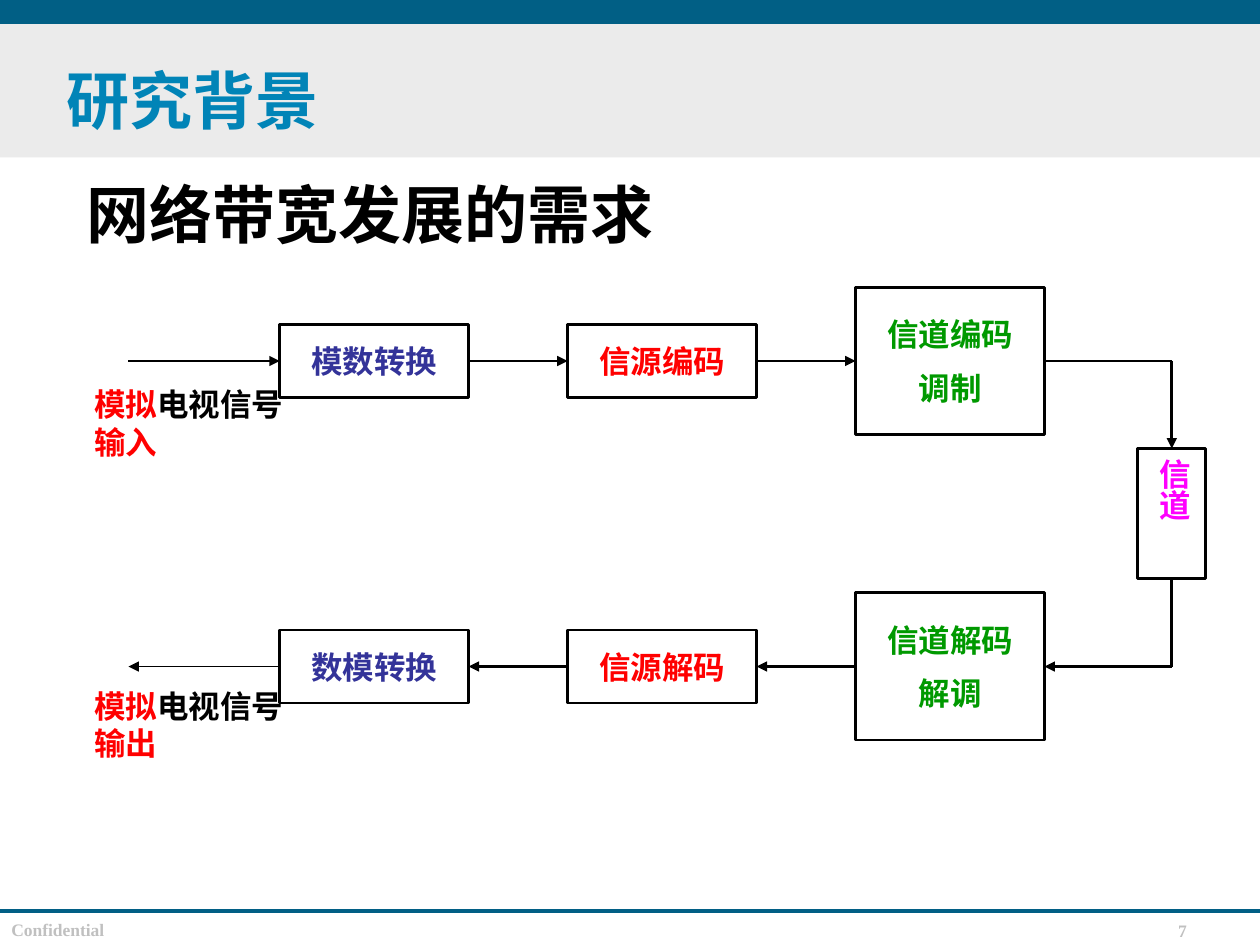
from dataclasses import dataclass
from typing import NamedTuple

from lxml import etree
from pptx import Presentation
from pptx.dml.color import RGBColor
from pptx.enum.shapes import MSO_CONNECTOR, MSO_SHAPE
from pptx.enum.text import MSO_ANCHOR, PP_ALIGN
from pptx.oxml.ns import qn
from pptx.util import Inches, Pt

RECT = MSO_SHAPE.RECTANGLE
LINE = MSO_CONNECTOR.STRAIGHT
LEFT, MID = PP_ALIGN.LEFT, PP_ALIGN.CENTER
TOP, CORE = MSO_ANCHOR.TOP, MSO_ANCHOR.MIDDLE
COLS, ROWS, CELL = 100, 75, Inches(0.1)
NORTH, WEST, SOUTH, EAST = range(4)


@dataclass(frozen=True)
class Theme:
    teal: str = "015F85"
    blue: str = "0184B7"
    pale: str = "EBEBEB"
    gray: str = "C0C0C0"
    black: str = "000000"
    red: str = "FF0000"
    green: str = "009900"
    navy: str = "333399"
    pink: str = "FF00FF"
    sans: str = "Arial"
    serif: str = "Times New Roman"
    cjk: str = "Noto Sans CJK SC"
    big: int = 36
    body: int = 18
    small: int = 10
    thin: float = 0.75
    thick: float = 1.5
    rule: float = 2


class Area(NamedTuple):
    col: float
    row: float
    wide: float
    high: float


class Point(NamedTuple):
    col: float
    row: float


class Joint(NamedTuple):
    shape: object
    side: int


class Run(NamedTuple):
    text: str
    color: str


class Stage(NamedTuple):
    lines: tuple
    color: str
    high: float


class Path(NamedTuple):
    start: object
    end: object
    arrow: bool = True
    width: float = 1.5


T = Theme()


def grid(*units: float) -> list:
    return [round(unit * CELL) for unit in units]


def tint(code: str) -> RGBColor:
    return RGBColor.from_string(code)


def write(shape, paras: list, size: int, font: str = T.sans, align=LEFT,
          anchor=TOP, pads: tuple = (0, 0, 0, 0), lead: float = 0,
          wrap: bool = True) -> None:
    frame = shape.text_frame
    frame.word_wrap, frame.vertical_anchor = wrap, anchor
    (frame.margin_left, frame.margin_top,
     frame.margin_right, frame.margin_bottom) = grid(*pads)
    for i, runs in enumerate(paras):
        para = frame.add_paragraph() if i else frame.paragraphs[0]
        para.alignment = align
        if i:
            para.space_before = Pt(size / 2)
        if lead:
            para.line_spacing = Pt(lead)
        for item in runs:
            run = para.add_run()
            run.text = item.text
            run.font.size, run.font.bold = Pt(size), True
            run.font.name = font
            run.font.color.rgb = tint(item.color)
            east = etree.SubElement(run.font._element, qn("a:ea"))
            east.set("typeface", T.cjk)


def label(slide, area: Area, runs: list, size: int, **style) -> None:
    write(slide.shapes.add_textbox(*grid(*area)), [runs], size, **style)


def band(slide, area: Area, color: str) -> None:
    shape = slide.shapes.add_shape(RECT, *grid(*area))
    shape.shadow.inherit = False
    shape.fill.solid()
    shape.fill.fore_color.rgb = tint(color)
    shape.line.fill.background()


def block(slide, area: Area, lines: tuple, color: str, left: float = 0.4):
    shape = slide.shapes.add_shape(RECT, *grid(*area))
    shape.shadow.inherit = False
    shape.fill.background()
    shape.line.color.rgb = tint(T.black)
    shape.line.width = Pt(T.thick)
    write(shape, [[Run(line, color)] for line in lines], T.body, align=MID,
          anchor=CORE, pads=(left, 0.8, 0.4, 0.8))
    return shape


def spot(end) -> list:
    return grid(*end) if isinstance(end, Point) else [0, 0]


def link(slide, path: Path, color: str = T.black) -> None:
    wire = slide.shapes.add_connector(LINE, *spot(path.start), *spot(path.end))
    if isinstance(path.start, Joint):
        wire.begin_connect(*path.start)
    if isinstance(path.end, Joint):
        wire.end_connect(*path.end)
    wire.line.color.rgb = tint(color)
    wire.line.width = Pt(path.width)
    if path.arrow:
        tip = etree.SubElement(wire.line._get_or_add_ln(), qn("a:tailEnd"))
        tip.set("type", "triangle")
    etree.SubElement(wire._element.spPr, qn("a:effectLst"))


def chain(slide, row: float, stages: list) -> list:
    first, step, wide = 22.2, 22.85, 15
    return [block(slide, Area(first + i * step, row - s.high / 2, wide, s.high),
                  s.lines, s.color) for i, s in enumerate(stages)]


def frame(slide) -> None:
    band(slide, Area(0, 1.2, COLS, 11.3), T.pale)
    link(slide, Path(Point(0, 72.3), Point(COLS, 72.3), False, T.rule), T.teal)
    band(slide, Area(0, 0, COLS, 1.9), T.teal)
    for area, text in ((Area(93.5, 73.4, 1.6, 1.3), "7"),
                       (Area(0.9, 73.3, 7.4, 1.3), "Confidential")):
        label(slide, area, [Run(text, T.gray)], T.small, font=T.serif,
              lead=9.2, wrap=False)
    pads = (1, 0.5, 1, 0.5)
    label(slide, Area(4.3, 4.4, 90, 5.5), [Run("研究背景", T.blue)], T.big,
          pads=pads)
    label(slide, Area(5.9, 14.7, 84.2, 5.8),
          [Run("网络带宽发展的需求", T.black)], T.big, font=T.cjk, pads=pads,
          lead=34)


def flow(slide) -> None:
    upper, lower, edge, bend = 28.65, 52.9, 10.2, 93
    low, tall = 5.8, 11.7
    send = chain(slide, upper, [
        Stage(("模数转换",), T.navy, low),
        Stage(("信源编码",), T.red, low),
        Stage(("信道编码", "调制"), T.green, tall)])
    take = chain(slide, lower, [
        Stage(("数模转换",), T.navy, low),
        Stage(("信源解码",), T.red, low),
        Stage(("信道解码", "解调"), T.green, tall)])
    wide = 5.4
    relay = block(slide, Area(bend - wide / 2, 35.6, wide, 10.3), ("信道",),
                  T.pink, left=0.8)
    relay.text_frame._txBody.bodyPr.set("vert", "eaVert")

    paths = [Path(Joint(a, EAST), Joint(b, WEST))
             for a, b in zip(send, send[1:])]
    paths += [Path(Joint(b, WEST), Joint(a, EAST))
              for a, b in zip(take, take[1:])]
    paths += [
        Path(Joint(send[-1], EAST), Point(bend, upper), False),
        Path(Point(bend, upper), Joint(relay, NORTH)),
        Path(Joint(relay, SOUTH), Point(bend, lower), False),
        Path(Point(bend, lower), Joint(take[-1], EAST)),
        Path(Point(edge, upper), Joint(send[0], WEST), width=T.thin),
        Path(Joint(take[0], WEST), Point(edge, lower), width=T.thin)]
    for path in paths:
        link(slide, path)
    for row, word in ((30.6, "输入"), (54.5, "输出")):
        label(slide, Area(7.5, row, 15.7, 8),
              [Run("模拟", T.red), Run("电视信号", T.black), Run(word, T.red)],
              T.body)


def main() -> None:
    deck = Presentation()
    deck.slide_width, deck.slide_height = grid(COLS, ROWS)
    slide = deck.slides.add_slide(deck.slide_layouts[6])
    frame(slide)
    flow(slide)
    deck.save("out.pptx")


if __name__ == "__main__":
    main()
